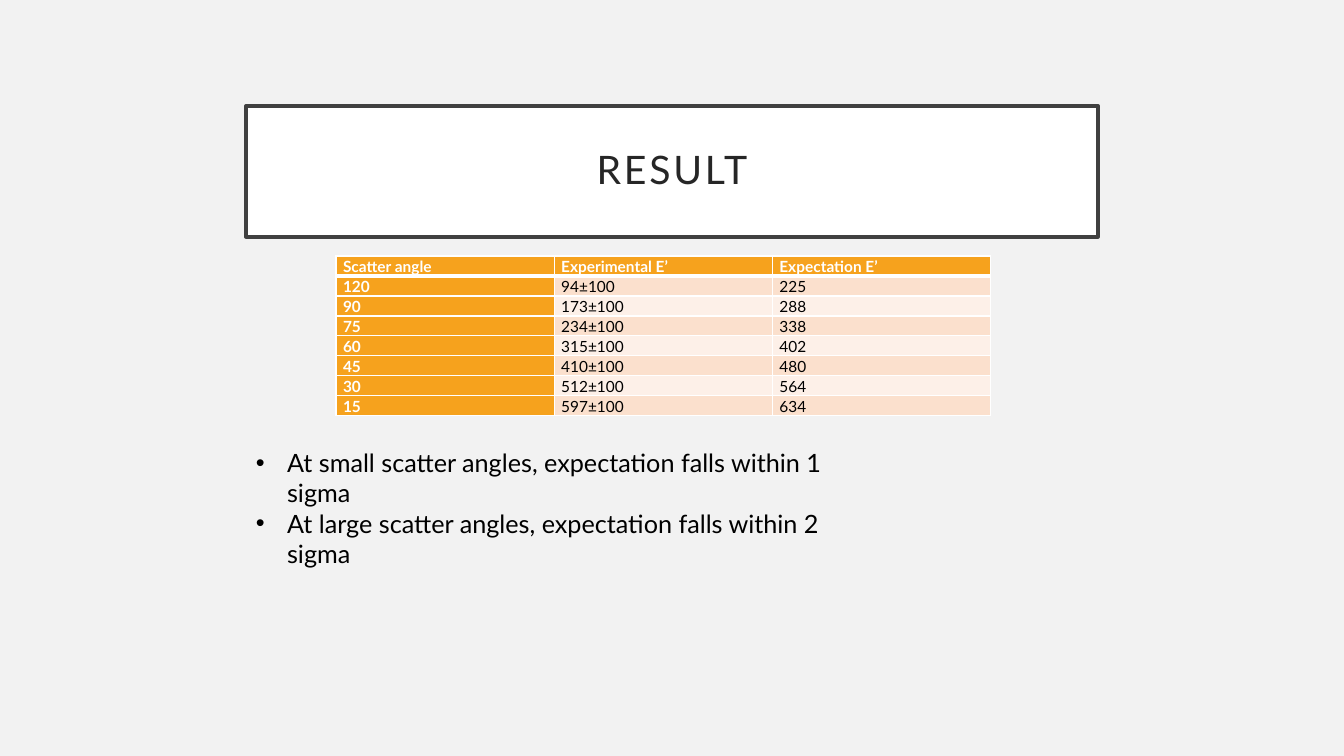
from dataclasses import dataclass

from lxml.etree import SubElement
from pptx import Presentation
from pptx.dml.color import RGBColor
from pptx.enum.text import MSO_ANCHOR as Anchor, MSO_AUTO_SIZE as AutoSize, PP_ALIGN as Align
from pptx.oxml.ns import qn
from pptx.util import Inches, Pt

SLIDE_W, SLIDE_H = Inches(13.33), Inches(7.5)


@dataclass(frozen=True)
class Theme:
    """Colours, font and type sizes of the slide."""
    font: str = "Lato"
    backdrop: str = "F2F2F2"
    white: str = "FFFFFF"
    frame: str = "404040"
    heading: str = "262626"
    body: str = "000000"
    accent: str = "F6A21D"
    bands: tuple = ("FBE0CD", "FDF0E8")
    title_size: int = 28
    body_size: int = 18
    table_size: int = 11


THEME = Theme()

RESULTS = [
    ("Scatter angle", "Experimental E’", "Expectation E’"),
    ("120", "94±100", "225"),
    ("90", "173±100", "288"),
    ("75", "234±100", "338"),
    ("60", "315±100", "402"),
    ("45", "410±100", "480"),
    ("30", "512±100", "564"),
    ("15", "597±100", "634"),
]
FINDINGS = [
    "At small scatter angles, expectation falls within 1 sigma",
    "At large scatter angles, expectation falls within 2 sigma",
]


def share(left, top, width, height):
    """Turn percentages of the slide's size into a box of lengths."""
    return [int(part * size / 100) for part, size in
            zip((left, top, width, height), (SLIDE_W, SLIDE_H) * 2)]


def set_all(target, values):
    """Set every attribute in a dict of format values."""
    for name, value in values.items():
        setattr(target, name, value)


def paint(fill, colour):
    """Give a fill one solid colour."""
    fill.solid()
    fill.fore_color.rgb = RGBColor.from_string(colour)


def write(paragraph, text, size, colour, bold=False):
    """Add one formatted run to a paragraph and return it."""
    run = paragraph.add_run()
    run.text = text
    set_all(run.font, {"name": THEME.font, "size": Pt(size), "bold": bold})
    run.font.color.rgb = RGBColor.from_string(colour)
    return run


def add_title(slide, box, text):
    """Frame the title placeholder in its box and write the heading."""
    title = slide.shapes.title
    set_all(title, dict(zip(("left", "top", "width", "height"), box)))
    paint(title.fill, THEME.white)
    paint(title.line.fill, THEME.frame)
    title.line.width = Pt(2.5)
    frame = title.text_frame
    set_all(frame, {"word_wrap": True, "auto_size": AutoSize.NONE,
                    "vertical_anchor": Anchor.MIDDLE})
    set_all(frame, {f"margin_{side}": Inches(0.2)
                    for side in ("left", "top", "right", "bottom")})
    heading = frame.paragraphs[0]
    set_all(heading, {"alignment": Align.CENTER, "line_spacing": 0.9})
    run = write(heading, text, THEME.title_size, THEME.heading)
    run.font._element.set("spc", "200")


def add_borders(cell, bottom, top):
    """Draw white cell borders; bottom and top are widths in points."""
    props = cell._tc.get_or_add_tcPr()
    for side, width in {"L": 1, "R": 1, "T": top, "B": bottom}.items():
        line = SubElement(props, qn(f"a:ln{side}"), w=str(Pt(width)))
        solid = SubElement(line, qn("a:solidFill"))
        SubElement(solid, qn("a:srgbClr"), val=THEME.white)


def add_results(slide, box, rows):
    """Place the results table with accented headings and banded values."""
    table = slide.shapes.add_table(len(rows), len(rows[0]), *box).table
    for line in table.rows:
        line.height = box[3] // len(rows)
    for r, values in enumerate(rows):
        for c, value in enumerate(values):
            cell = table.cell(r, c)
            is_heading = r == 0 or c == 0
            set_all(cell, {
                "margin_left": Inches(0.07), "margin_right": Inches(0.07),
                "margin_top": 0, "margin_bottom": 0,
                "vertical_anchor": Anchor.TOP if is_heading else Anchor.BOTTOM,
            })
            add_borders(cell, bottom=3 if r == 0 else 1, top=3 if r == 1 else 1)
            paint(cell.fill, THEME.accent if is_heading else THEME.bands[(r - 1) % 2])
            entry = cell.text_frame.paragraphs[0]
            entry.line_spacing = 1.07
            write(entry, value, THEME.table_size,
                  THEME.white if is_heading else THEME.body, is_heading)


def add_findings(slide, box, findings):
    """Write the findings as a bulleted list in the box."""
    frame = slide.shapes.add_textbox(*box).text_frame
    frame.word_wrap = True
    indent = Inches(0.31)
    for i, finding in enumerate(findings):
        item = frame.add_paragraph() if i else frame.paragraphs[0]
        props = item._p.get_or_add_pPr()
        props.set("marL", str(indent))
        props.set("indent", str(-indent))
        SubElement(props, qn("a:buFont"), typeface="Arial")
        SubElement(props, qn("a:buChar"), char="•")
        write(item, finding, THEME.body_size, THEME.body)


def build_result_slide(deck):
    """Build the result slide: title, table and findings."""
    slide = deck.slides.add_slide(deck.slide_layouts[5])
    paint(slide.background.fill, THEME.backdrop)
    add_title(slide, share(18.3, 14, 63.4, 17.33), "RESULT")
    add_results(slide, share(25, 33.87, 48.7, 21), RESULTS)
    add_findings(slide, share(18.3, 58.53, 45.7, 16.5), FINDINGS)


deck = Presentation()
set_all(deck, {"slide_width": SLIDE_W, "slide_height": SLIDE_H})
build_result_slide(deck)
deck.save("out.pptx")
